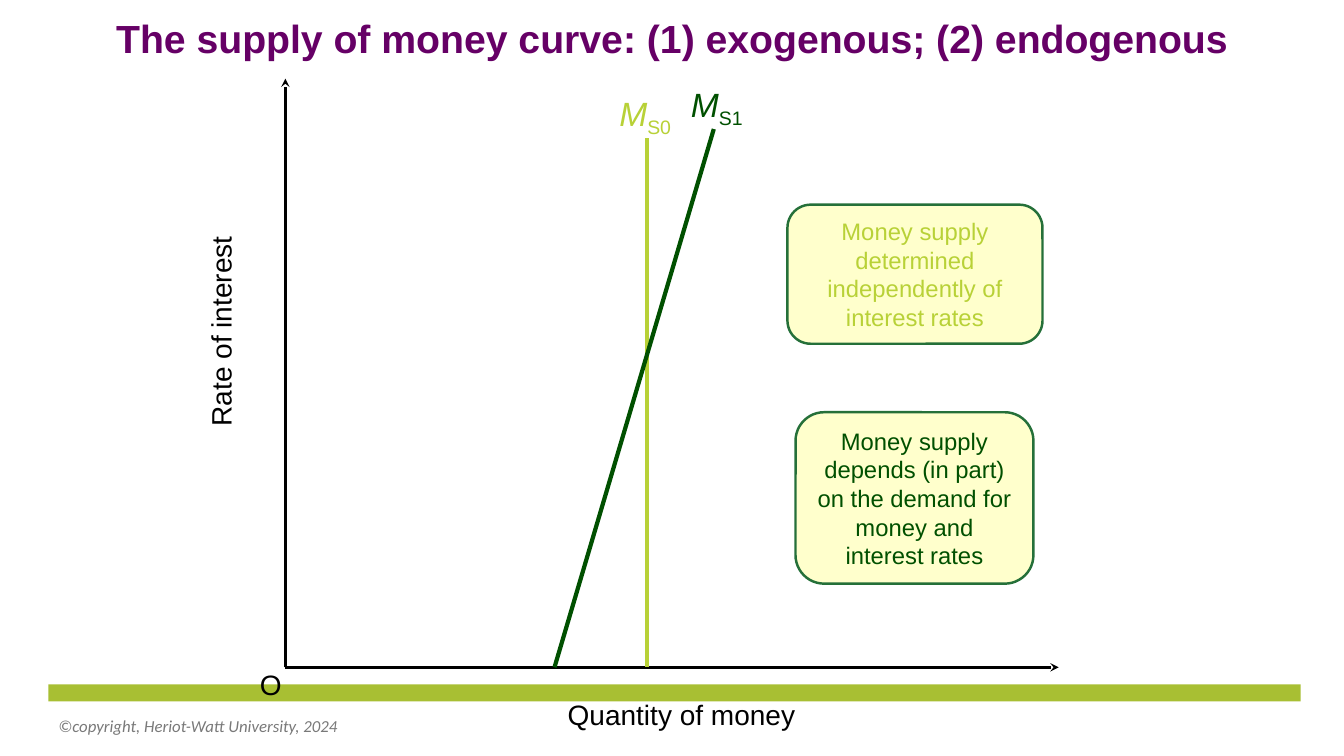
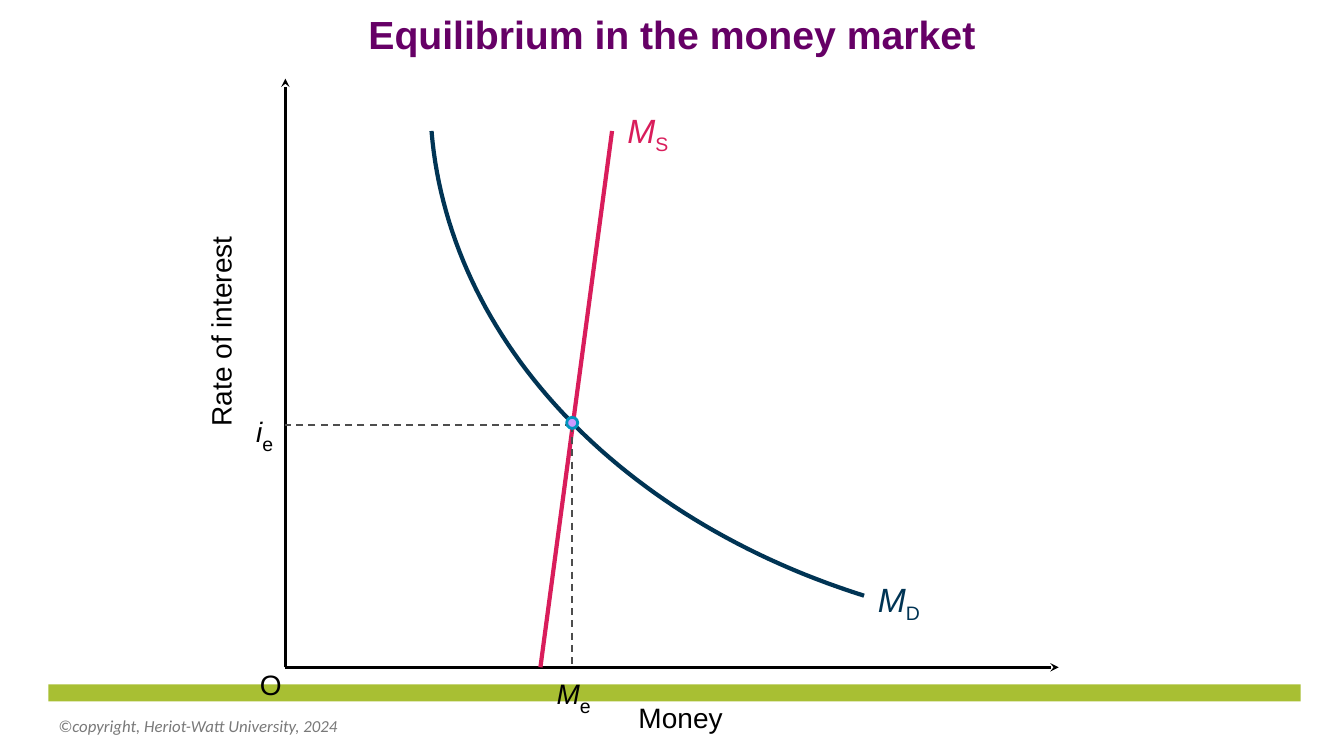
from lxml import etree
from pptx import Presentation
from pptx.dml.color import RGBColor
from pptx.enum.dml import MSO_LINE
from pptx.enum.shapes import MSO_CONNECTOR, MSO_SHAPE
from pptx.enum.text import MSO_ANCHOR, PP_ALIGN
from pptx.oxml import parse_xml
from pptx.oxml.ns import nsdecls, qn
from pptx.util import Inches, Pt

STRAIGHT = MSO_CONNECTOR.STRAIGHT
RECTANGLE, ROUNDED, OVAL = MSO_SHAPE.RECTANGLE, MSO_SHAPE.ROUNDED_RECTANGLE, MSO_SHAPE.OVAL
DASH = MSO_LINE.DASH
LEFT, CENTER = PP_ALIGN.LEFT, PP_ALIGN.CENTER
TOP, MIDDLE = MSO_ANCHOR.TOP, MSO_ANCHOR.MIDDLE

BLACK = RGBColor(0x00, 0x00, 0x00)
GRAY = RGBColor(0x79, 0x79, 0x79)
DASH_GRAY = RGBColor(0x4D, 0x4D, 0x4D)
PURPLE = RGBColor(0x66, 0x00, 0x66)
BAND_GREEN = RGBColor(0xA8, 0xBF, 0x33)
LIME = RGBColor(0xB8, 0xD1, 0x37)
DARK_GREEN = RGBColor(0x00, 0x50, 0x00)
BORDER_GREEN = RGBColor(0x25, 0x70, 0x39)
CREAM = RGBColor(0xFF, 0xFF, 0xCC)
NAVY = RGBColor(0x00, 0x34, 0x54)
CRIMSON = RGBColor(0xD9, 0x1D, 0x5B)
LILAC = RGBColor(0xCC, 0x99, 0xFF)
TEAL = RGBColor(0x00, 0x94, 0xBD)

presentation = Presentation()
presentation.slide_width = Inches(13.33)
presentation.slide_height = Inches(7.5)

# The grid has 100 columns and 100 rows; all places are given in them
COLUMN = presentation.slide_width / 100
ROW = presentation.slide_height / 100
AXIS_X, AXIS_Y = 21.23, 88.27
AXIS_TOP, AXIS_RIGHT = 10.4, 78.77
LABEL_HEIGHT, CURVE_LABEL_HEIGHT = 5.87, 6.8


def add_text(slide, box, text, size=20, color=BLACK, subscript="", subscript_size=None,
             align=CENTER, anchor=TOP, wrap=False, preset=None, font="Arial"):
    left, top, width, height = box
    place = [int(left * COLUMN), int(top * ROW), int(width * COLUMN), int(height * ROW)]
    if preset is None:
        shape = slide.shapes.add_textbox(*place)
    else:
        shape = slide.shapes.add_shape(preset, *place)
        shape.shadow.inherit = False
    frame = shape.text_frame
    frame.word_wrap = wrap
    frame.vertical_anchor = anchor
    paragraph = frame.paragraphs[0]
    paragraph.alignment = align
    paragraph.font.name = font
    paragraph.font.size = Pt(size)
    paragraph.font.color.rgb = color
    run = paragraph.add_run()
    run.text = text
    if subscript:
        run.font.italic = True
        run = paragraph.add_run()
        run.text = subscript
        run.font.size = Pt(subscript_size or size)
        run._r.get_or_add_rPr().set("baseline", "-25000")
    return shape


def add_line(slide, start, end, color, weight, arrow=False, dash=None):
    line = slide.shapes.add_connector(
        STRAIGHT, int(start[0] * COLUMN), int(start[1] * ROW),
        int(end[0] * COLUMN), int(end[1] * ROW))
    line.line.color.rgb = color
    line.line.width = Pt(weight)
    if dash:
        line.line.dash_style = dash
    if arrow:
        etree.SubElement(line.line._get_or_add_ln(), qn("a:tailEnd"), type="stealth")
    etree.SubElement(line._element.spPr, qn("a:effectLst"))


# Shared frame: band, footer, title, axes and axis names
titles = [
    ("The supply of money curve: (1) exogenous; (2) endogenous", 1.1),
    ("Equilibrium in the money market", 1.0),
]
slides = []
for title, spacing in titles:
    slide = presentation.slides.add_slide(presentation.slide_layouts[6])
    slides.append(slide)
    band = slide.shapes.add_shape(RECTANGLE, int(3.6 * COLUMN), int(90.53 * ROW),
                                  int(93.17 * COLUMN), int(2.27 * ROW))
    band.shadow.inherit = False
    band.fill.solid()
    band.fill.fore_color.rgb = BAND_GREEN
    band.line.fill.background()
    footer = add_text(slide, (3.6, 93.33, 33.76, 5.33), "©copyright, Heriot-Watt University, 2024",
                      12, GRAY, align=LEFT, anchor=MIDDLE, wrap=True, font="Calibri")
    footer.text_frame.paragraphs[0].font.italic = True

    heading = add_text(slide, (0, 0, 100, 8.4), title, 28, PURPLE, wrap=True)
    heading.text_frame.margin_top = Inches(0.1)
    paragraph = heading.text_frame.paragraphs[0]
    paragraph.line_spacing = spacing
    paragraph.font.bold = True
    paragraph.runs[0].font.color.rgb = PURPLE
    paragraph.runs[0]._r.get_or_add_rPr().find(qn("a:solidFill")).addnext(parse_xml(
        f'<a:effectLst {nsdecls("a")}><a:outerShdw dist="17961" dir="2700000">'
        f'<a:srgbClr val="{TEAL}"/></a:outerShdw></a:effectLst>'))

    add_text(slide, (18.6, 87.6, 3.15, LABEL_HEIGHT), "O", align=LEFT)
    rate = add_text(slide, (8.55, 40.8, 15.75, LABEL_HEIGHT), "Rate of interest", align=LEFT)
    rate.rotation = 270
    for axis_end in [(AXIS_X, AXIS_TOP), (AXIS_RIGHT, AXIS_Y)]:
        add_line(slide, (AXIS_X, AXIS_Y), axis_end, BLACK, 2, arrow=True)

supply_slide, equilibrium_slide = slides

# Slide 1: two supply curves, each with its label and explanation
add_text(supply_slide, (41.41, 91.6, 18.6, LABEL_HEIGHT), "Quantity of money")
supply_curves = [
    (LIME, "S0", (48.16, 18.27), (48.16, AXIS_Y), (45.16, 11.6),
     (58.59, 27.07, 18.98, 18.4),
     "Money supply determined independently of interest rates"),
    (DARK_GREEN, "S1", (53.11, 17.07), (41.26, AXIS_Y), (50.49, 10.4),
     (59.19, 54.53, 17.7, 22.67),
     "Money supply depends (in part) on the demand for money and interest rates"),
]
for color, name, start, end, label, box, explanation in supply_curves:
    add_line(supply_slide, start, end, color, 3)
    add_text(supply_slide, (*label, 5.7, CURVE_LABEL_HEIGHT), "M", 24, color, name)
    note = add_text(supply_slide, box, explanation, 17, color, anchor=MIDDLE,
                    wrap=True, preset=ROUNDED)
    note.fill.solid()
    note.fill.fore_color.rgb = CREAM
    note.line.color.rgb = BORDER_GREEN
    note.line.width = Pt(1.75)

# Slide 2: demand curve, drawn through points of a cubic curve
STEPS = 60
controls = [(64.29, 78.8), (45.91, 68.53), (33.38, 44.67), (32.11, 17.33)]
points = []
for step in range(STEPS + 1):
    t = step / STEPS
    weights = [(1 - t) ** 3, 3 * t * (1 - t) ** 2, 3 * t ** 2 * (1 - t), t ** 3]
    points.append((int(sum(w * x for w, (x, y) in zip(weights, controls)) * COLUMN),
                   int(sum(w * y for w, (x, y) in zip(weights, controls)) * ROW)))
builder = equilibrium_slide.shapes.build_freeform(*points[0])
builder.add_line_segments(points[1:], close=False)
demand = builder.convert_to_shape()
demand.shadow.inherit = False
demand.fill.background()
demand.line.color.rgb = NAVY
demand.line.width = Pt(3)

# Supply curve and the guides from the equilibrium to both axes
EQUILIBRIUM_X, EQUILIBRIUM_Y = 42.57, 56.2
add_line(equilibrium_slide, (40.21, AXIS_Y), (45.54, 17.33), CRIMSON, 3)
for guide_end in [(AXIS_X, EQUILIBRIUM_Y), (EQUILIBRIUM_X, AXIS_Y)]:
    add_line(equilibrium_slide, (EQUILIBRIUM_X, EQUILIBRIUM_Y), guide_end,
             DASH_GRAY, 1.25, dash=DASH)
dot = equilibrium_slide.shapes.add_shape(OVAL, int(42.16 * COLUMN), int(55.2 * ROW),
                                         Inches(0.11), Inches(0.11))
dot.shadow.inherit = False
dot.fill.solid()
dot.fill.fore_color.rgb = LILAC
dot.line.color.rgb = TEAL
dot.line.width = Pt(2)

# Labels of the curves and of the equilibrium values
add_text(equilibrium_slide, (46.74, 92, 7.8, LABEL_HEIGHT), "Money")
for box, letter, size, color, subscript in [
    ((64.44, 75.87, 4.88, CURVE_LABEL_HEIGHT), "M", 24, NAVY, "D"),
    ((45.84, 13.87, 4.73, CURVE_LABEL_HEIGHT), "M", 24, CRIMSON, "S"),
    ((18.23, 53.47, 2.93, LABEL_HEIGHT), "i", 20, BLACK, "e"),
    ((40.59, 88.13, 4.2, LABEL_HEIGHT), "M", 20, BLACK, "e"),
]:
    add_text(equilibrium_slide, box, letter, size, color, subscript, subscript_size=24)

presentation.save("out.pptx")
